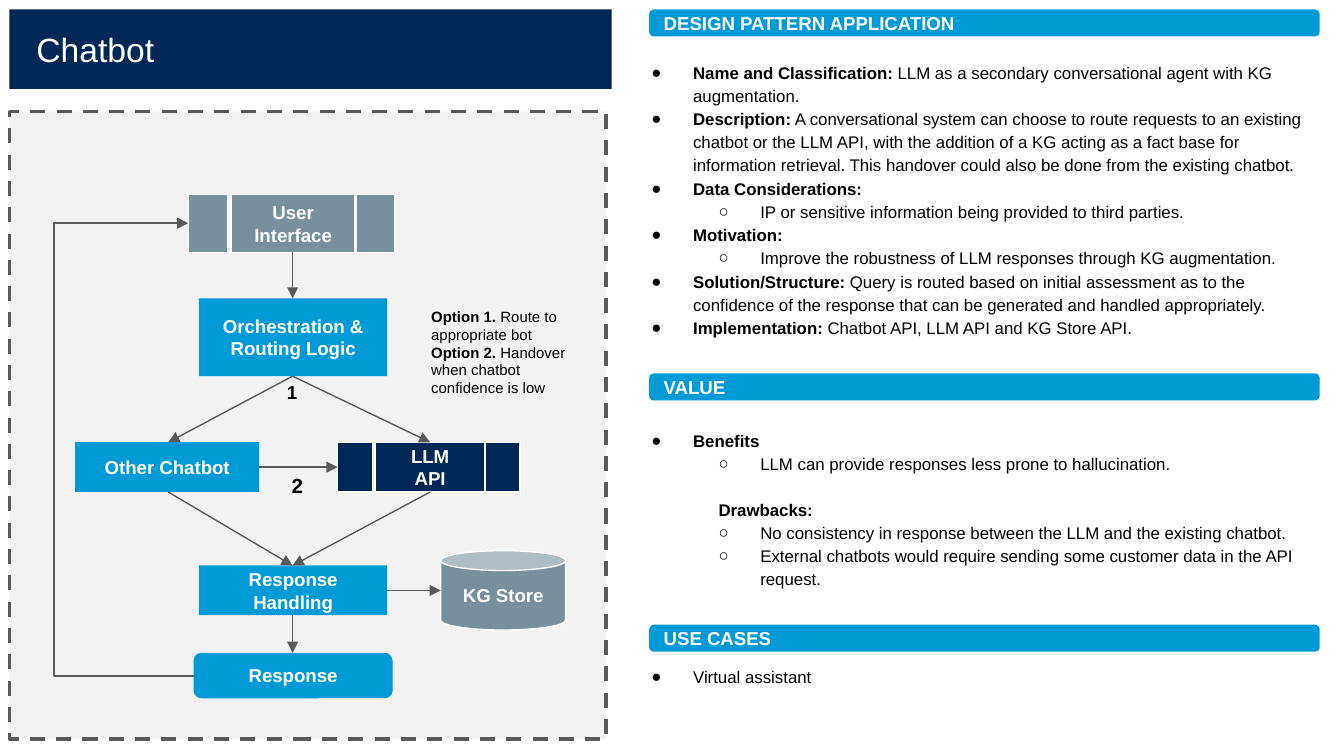
from dataclasses import dataclass

from lxml import etree
from pptx import Presentation
from pptx.dml.color import RGBColor
from pptx.enum.dml import MSO_LINE
from pptx.enum.shapes import MSO_CONNECTOR, MSO_SHAPE
from pptx.enum.text import MSO_ANCHOR, MSO_AUTO_SIZE, PP_ALIGN
from pptx.oxml.ns import qn
from pptx.util import Cm, Pt

RECT = MSO_SHAPE.RECTANGLE
ROUND = MSO_SHAPE.ROUNDED_RECTANGLE
CAN = MSO_SHAPE.CAN
STRAIGHT = MSO_CONNECTOR.STRAIGHT
ELBOW = MSO_CONNECTOR.ELBOW
DASH = MSO_LINE.DASH
LEFT = PP_ALIGN.LEFT
CENTER = PP_ALIGN.CENTER
MIDDLE = MSO_ANCHOR.MIDDLE
TOP = MSO_ANCHOR.TOP
GROW = MSO_AUTO_SIZE.SHAPE_TO_FIT_TEXT


@dataclass(frozen=True)
class Theme:
    font: str = "Arial"
    navy: str = "002856"
    blue: str = "009AD7"
    slate: str = "78909C"
    panel: str = "F2F2F2"
    line: str = "595959"
    white: str = "FFFFFF"
    black: str = "000000"
    title: int = 18
    handover: int = 11
    label: int = 10
    body: int = 9
    note: int = 8


THEME = Theme()
WIDE = (0.25, 0.25)
TIGHT = (0.18, 0.1)
BODY = (0.25, 0.13)


def rgb(value):
    return RGBColor.from_string(value)


def set_frame(tf, insets, anchor):
    tf.word_wrap = True
    tf.vertical_anchor = anchor
    tf.margin_left = tf.margin_right = Cm(insets[0])
    tf.margin_top = tf.margin_bottom = Cm(insets[1])


def add_run(p, text, size, color, bold):
    r = p.add_run()
    r.text = text
    r.font.name = THEME.font
    r.font.size = Pt(size)
    r.font.bold = bold
    r.font.color.rgb = rgb(color)


def paragraphs(tf, count):
    return [tf.paragraphs[0]] + [tf.add_paragraph() for _ in range(count - 1)]


def add_box(slide, kind, x, y, w, h, fill, lines=(), line=None, size=THEME.label,
            bold=True, align=CENTER, insets=TIGHT):
    sp = slide.shapes.add_shape(kind, Cm(x), Cm(y), Cm(w), Cm(h))
    sp.shadow.inherit = False
    sp.fill.solid()
    sp.fill.fore_color.rgb = rgb(fill)
    if line:
        sp.line.color.rgb = rgb(line)
        sp.line.width = Pt(0.75)
    else:
        sp.line.fill.background()
    tf = sp.text_frame
    set_frame(tf, insets, MIDDLE)
    for p, text in zip(paragraphs(tf, len(lines)), lines):
        p.alignment = align
        add_run(p, text, size, THEME.white, bold)
    return sp


def add_interface(slide, cells, y, h, fill, lines):
    for (x, w), text in zip(cells, ((), lines, ())):
        add_box(slide, RECT, x, y, w, h, fill, text, THEME.white)


def add_header(slide, y, text):
    add_box(slide, ROUND, 12.27, y, 12.67, 0.51, THEME.blue, [text],
            align=LEFT, insets=WIDE)


def add_text(slide, x, y, w, h, insets):
    tf = slide.shapes.add_textbox(Cm(x), Cm(y), Cm(w), Cm(h)).text_frame
    set_frame(tf, insets, TOP)
    tf.auto_size = GROW
    return tf


def add_note(slide, x, y, w, h, rows, size, align=LEFT):
    tf = add_text(slide, x, y, w, h, WIDE)
    for p, (strong, plain) in zip(paragraphs(tf, len(rows)), rows):
        p.alignment = align
        add_run(p, strong, size, THEME.black, True)
        if plain:
            add_run(p, plain, size, THEME.black, False)


def set_bullet(p, char, margin, indent):
    pPr = p._p.get_or_add_pPr()
    pPr.set("marL", str(Cm(margin)))
    pPr.set("indent", str(Cm(indent)))
    if char:
        color = etree.SubElement(pPr, qn("a:buClr"))
        etree.SubElement(color, qn("a:srgbClr"), val=THEME.black)
        etree.SubElement(pPr, qn("a:buFont"), typeface=THEME.font)
        etree.SubElement(pPr, qn("a:buChar"), char=char)
    else:
        etree.SubElement(pPr, qn("a:buNone"))


def add_bullets(slide, y, w, h, rows):
    styles = {"main": (0, "●", 1.27, -0.79), "sub": (1, "○", 2.54, -0.79),
              "heading": (1, None, 1.75, 0)}
    tf = add_text(slide, 11.58, y, w, h, BODY)
    for p, (style, strong, plain) in zip(paragraphs(tf, len(rows)), rows):
        level, char, margin, indent = styles[style]
        set_bullet(p, char, margin, indent)
        p.level = level
        p.line_spacing = 1.15
        if style == "heading":
            p.space_before = Pt(12)
        for text, bold in ((strong, True), (plain, False)):
            if text:
                add_run(p, text, THEME.body, THEME.black, bold)


def add_arrow(slide, start, end, kind=STRAIGHT):
    cx = slide.shapes.add_connector(kind, *(Cm(v) for v in start + end))
    cx.line.color.rgb = rgb(THEME.line)
    cx.line.width = Pt(0.75)
    spPr = cx._element.spPr
    etree.SubElement(spPr.find(qn("a:ln")), qn("a:tailEnd"), type="triangle")
    etree.SubElement(spPr, qn("a:effectLst"))
    return cx


def add_return_arrow(slide, start, end, lane):
    cx = add_arrow(slide, start, end, ELBOW)
    ratio = round((start[0] - lane) / (start[0] - end[0]) * 100000)
    guides = cx._element.spPr.find(qn("a:prstGeom")).get_or_add_avLst()
    etree.SubElement(guides, qn("a:gd"), name="adj1", fmla=f"val {ratio}")


def add_flow(slide):
    t = THEME
    panel = add_box(slide, RECT, 0.18, 2.11, 11.28, 11.86, t.panel, line=t.line)
    panel.line.width = Pt(2)
    panel.line.dash_style = DASH

    add_interface(slide, ((3.56, 0.74), (4.37, 2.34), (6.73, 0.74)), 3.68, 1.09,
                  t.slate, ["User Interface"])
    add_interface(slide, ((6.38, 0.66), (7.09, 2.08), (9.17, 0.66)), 8.36, 0.94,
                  t.navy, ["LLM", "API"])
    for kind, x, y, w, h, text in (
            (RECT, 3.76, 5.64, 3.56, 1.47, "Orchestration & Routing Logic"),
            (RECT, 1.42, 8.36, 3.48, 0.94, "Other Chatbot"),
            (RECT, 3.76, 10.69, 3.56, 0.94, "Response Handling"),
            (ROUND, 3.66, 12.34, 3.76, 0.86, "Response")):
        add_box(slide, kind, x, y, w, h, t.blue, [text])
    add_box(slide, CAN, 8.33, 10.41, 2.36, 1.5, t.slate, ["KG Store"], t.white)

    mid, bot, llm = 5.53, 3.18, 8.13
    for start, end in (
            ((mid, 4.77), (mid, 5.64)),
            ((mid, 7.11), (bot, 8.36)),
            ((mid, 7.11), (llm, 8.36)),
            ((4.9, 8.83), (6.38, 8.83)),
            ((bot, 9.3), (mid, 10.69)),
            ((llm, 9.3), (mid, 10.69)),
            ((7.32, 11.16), (8.33, 11.16)),
            ((mid, 11.63), (mid, 12.34))):
        add_arrow(slide, start, end)
    add_return_arrow(slide, (3.66, 12.78), (3.56, 4.22), 1.02)

    add_note(slide, 7.9, 5.56, 3.56, 2.57, (
        ("Option 1.", " Route to appropriate bot"),
        ("Option 2. ", "Handover when chatbot confidence is low")), t.note)
    add_note(slide, 4.95, 6.99, 1.14, 0.94, (("1", ""),), t.label, CENTER)
    add_note(slide, 5.05, 8.71, 1.14, 0.99, (("2", ""),), t.handover, CENTER)


def add_details(slide):
    add_header(slide, 0.18, "DESIGN PATTERN APPLICATION")
    add_bullets(slide, 0.99, 13.49, 6.17, (
        ("main", "Name and Classification:", " LLM as a secondary conversational agent with KG augmentation."),
        ("main", "Description:", " A conversational system can choose to route requests to an existing chatbot "
         "or the LLM API, with the addition of a KG acting as a fact base for information retrieval. "
         "This handover could also be done from the existing chatbot."),
        ("main", "Data Considerations:", ""),
        ("sub", "", "IP or sensitive information being provided to third parties."),
        ("main", "Motivation:", ""),
        ("sub", "", "Improve the robustness of LLM responses through KG augmentation."),
        ("main", "Solution/Structure: ", "Query is routed based on initial assessment as to the confidence "
         "of the response that can be generated and handled appropriately."),
        ("main", "Implementation: ", "Chatbot API, LLM API and KG Store API.")))
    add_header(slide, 7.06, "VALUE")
    add_bullets(slide, 7.95, 13.11, 3.35, (
        ("main", "Benefits", ""),
        ("sub", "", "LLM can provide responses less prone to hallucination."),
        ("heading", "Drawbacks:", ""),
        ("sub", "", "No consistency in response between the LLM and the existing chatbot."),
        ("sub", "", "External chatbots would require sending some customer data in the API request.")))
    add_header(slide, 11.81, "USE CASES")
    add_bullets(slide, 12.42, 4.24, 0.71, (("main", "", "Virtual assistant"),))


def main():
    prs = Presentation()
    prs.slide_width, prs.slide_height = Cm(25.4), Cm(14.29)
    slide = prs.slides.add_slide(prs.slide_layouts[6])
    add_box(slide, RECT, 0.18, 0.18, 11.38, 1.5, THEME.navy, ["Chatbot"],
            size=THEME.title, bold=False, align=LEFT, insets=(0.51, 0))
    add_flow(slide)
    add_details(slide)
    prs.save("out.pptx")


if __name__ == "__main__":
    main()
